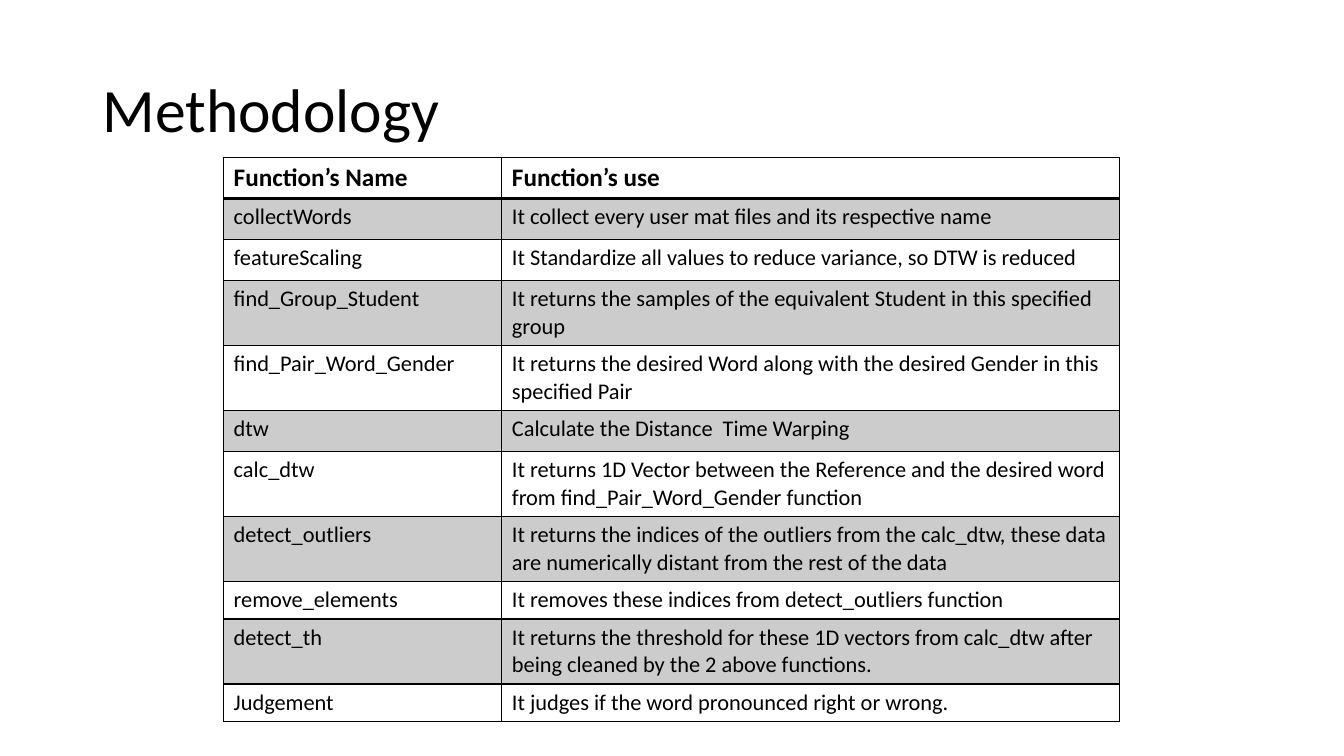
from dataclasses import dataclass

from lxml.etree import SubElement
from pptx import Presentation
from pptx.dml.color import RGBColor
from pptx.enum.text import MSO_ANCHOR, PP_ALIGN
from pptx.oxml.ns import qn
from pptx.util import Pt

# Content: name, use, row height in px
ROWS = [
    ("Function’s Name", "Function’s use", 39),
    ("collectWords", "It collect every user mat files and its respective name", 39),
    ("featureScaling", "It Standardize all values to reduce variance, so DTW is reduced", 39),
    ("find_Group_Student",
     "It returns the samples of the equivalent Student in this specified group", 62),
    ("find_Pair_Word_Gender",
     "It returns the desired Word along with the desired Gender in this specified Pair", 62),
    ("dtw", "Calculate the Distance  Time Warping", 39),
    ("calc_dtw",
     "It returns 1D Vector between the Reference and the desired word "
     "from find_Pair_Word_Gender function", 62),
    ("detect_outliers",
     "It returns the indices of the outliers from the calc_dtw, these data "
     "are numerically distant from the rest of the data", 62),
    ("remove_elements", "It removes these indices from detect_outliers function", 35),
    ("detect_th",
     "It returns the threshold for these 1D vectors from calc_dtw after "
     "being cleaned by the 2 above functions.", 62),
    ("Judgement", "It judges if the word pronounced right or wrong.", 35),
]
COLS = (265, 588)
TITLE_BOX = (88, 38, 1104, 139)
TABLE_AT = (213, 150)


@dataclass(frozen=True)
class Theme:
    font: str = "Calibri"
    ink: str = "000000"
    band: int = 20  # percent opacity of the banded rows
    title: int = 44
    head: int = 18
    body: int = 16
    thin: int = 1
    thick: int = 2


THEME = Theme()


def px(size):
    return size * 9525


def write(frame, text, size, bold=False, spacing=None):
    frame.text = text
    para = frame.paragraphs[0]
    para.alignment = PP_ALIGN.LEFT
    if spacing:
        para.line_spacing = spacing
    font = para.runs[0].font
    font.name, font.size, font.bold = THEME.font, Pt(size), bold
    font.color.rgb = RGBColor.from_string(THEME.ink)


def border(cell, side, width):
    line = SubElement(cell._tc.get_or_add_tcPr(), qn(f"a:ln{side}"), w=str(Pt(width)))
    fill = SubElement(line, qn("a:solidFill"))
    SubElement(fill, qn("a:srgbClr"), val=THEME.ink)


def shade(cell, banded):
    if not banded:
        cell.fill.background()
        return
    cell.fill.solid()
    cell.fill.fore_color.rgb = RGBColor.from_string(THEME.ink)
    color = cell._tc.tcPr.find(qn("a:solidFill"))[0]
    SubElement(color, qn("a:alpha"), val=str(THEME.band * 1000))


def add_grid(slide):
    high = sum(row[2] for row in ROWS)
    table = slide.shapes.add_table(
        len(ROWS), len(COLS), *map(px, (*TABLE_AT, sum(COLS), high))).table
    table.first_row = table.horz_banding = False
    for col, width in zip(table.columns, COLS):
        col.width = px(width)
    for r, (name, use, height) in enumerate(ROWS):
        table.rows[r].height = px(height)
        for c, text in enumerate((name, use)):
            cell = table.cell(r, c)
            write(cell.text_frame, text, THEME.body if r else THEME.head, bold=r == 0)
            # The rule under the header is heavier than the rest
            for side in "LRTB":
                heavy = (r, side) in ((0, "B"), (1, "T"))
                border(cell, side, THEME.thick if heavy else THEME.thin)
            shade(cell, r % 2 == 1)


def main():
    deck = Presentation()
    deck.slide_width, deck.slide_height = px(1280), px(720)
    slide = deck.slides.add_slide(deck.slide_layouts[5])

    # Title
    title = slide.shapes.title
    title.left, title.top, title.width, title.height = map(px, TITLE_BOX)
    title.text_frame.vertical_anchor = MSO_ANCHOR.MIDDLE
    write(title.text_frame, "Methodology", THEME.title, spacing=0.9)

    # Function table
    add_grid(slide)
    deck.save("out.pptx")


if __name__ == "__main__":
    main()
